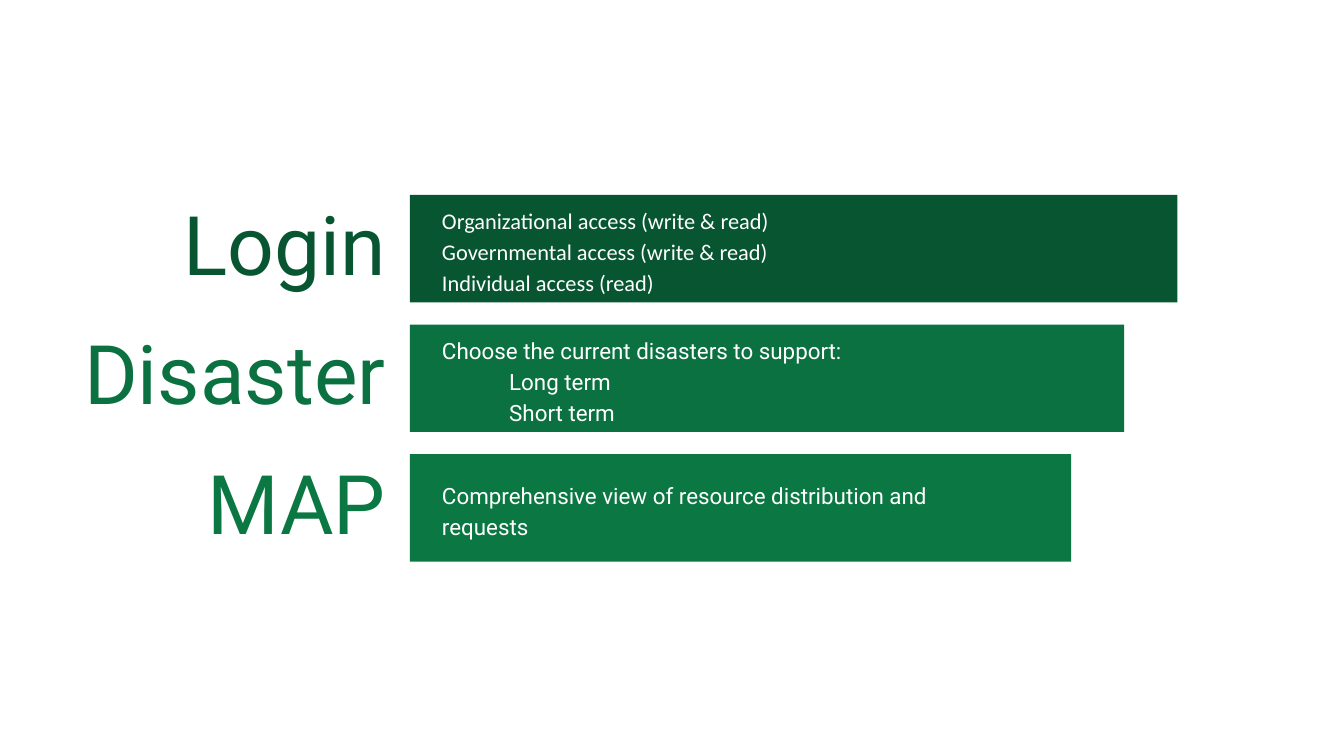
from copy import deepcopy

from pptx import Presentation
from pptx.dml.color import RGBColor
from pptx.enum.shapes import MSO_SHAPE
from pptx.enum.text import MSO_ANCHOR, PP_ALIGN
from pptx.oxml.ns import qn
from pptx.util import Inches, Pt

WHITE = RGBColor(0xFF, 0xFF, 0xFF)
DARK = RGBColor(0x08, 0x56, 0x31)
MIDDLE = RGBColor(0x0B, 0x71, 0x40)
LIGHT = RGBColor(0x0B, 0x77, 0x43)

ROWS = [
    dict(label="Login", color=DARK, font="Calibri", label_w=2.19, body_w=5.21, body_h=0.63,
         lines=[("Organizational access (write & read)\nGovernmental access (write & read)", 0),
                ("Individual access (read)", 0)]),
    dict(label="Disaster", color=MIDDLE, font="Roboto", label_w=2.97, body_w=4.78, body_h=0.36,
         lines=[("Choose the current disasters to support:", 0),
                ("Long term", 0.5),
                ("Short term", 0.5)]),
    dict(label="MAP", color=LIGHT, font="Roboto", label_w=2.14, body_w=4.21, body_h=0.36,
         lines=[("Comprehensive view of resource distribution and requests", 0)]),
]

TOP, PITCH = 1.45, 1.93 / 2
BAR_LEFT, BAR_W, BAR_STEP, BAR_H = 3.05, 5.71, 0.79 / 2, 0.8
LABEL_RIGHT, LABEL_H = 2.97, 0.69
BODY_LEFT, BODY_DROP = 3.19, 0.01


def add_text(group, left, middle, width, height, lines, layout, font, color):
    box = group.shapes.add_textbox(Inches(left), Inches(middle - height / 2),
                                   Inches(width), Inches(height))
    tf = box.text_frame
    tf.word_wrap = True
    tf.vertical_anchor = MSO_ANCHOR.MIDDLE
    for i, (text, indent) in enumerate(lines):
        p = tf.paragraphs[0] if i == 0 else tf.add_paragraph()
        p.text = text
        for name, value in layout.items():
            setattr(p, name, value)
        if indent:
            p._p.get_or_add_pPr().set("indent", str(Inches(indent)))
        for r in p.runs:
            for name, value in font.items():
                setattr(r.font, name, value)
            r.font.color.rgb = color
        for br in p._p.findall(qn("a:br")):
            br.append(deepcopy(p.runs[0]._r.rPr))


prs = Presentation()
prs.slide_width = Inches(10)
prs.slide_height = prs.slide_width * 9 // 16
s = prs.slides.add_slide(prs.slide_layouts[6])

for i, row in enumerate(ROWS):
    top = TOP + i * PITCH
    middle = top + BAR_H / 2
    group = s.shapes.add_group_shape()
    add_text(group, LABEL_RIGHT - row["label_w"], middle, row["label_w"], LABEL_H,
             [(row["label"], 0)], dict(alignment=PP_ALIGN.RIGHT, line_spacing=0.9),
             dict(name="Roboto", size=Pt(44)), row["color"])
    bar = group.shapes.add_shape(MSO_SHAPE.RECTANGLE, Inches(BAR_LEFT), Inches(top),
                                 Inches(BAR_W - i * BAR_STEP), Inches(BAR_H))
    bar.shadow.inherit = False
    bar.fill.solid()
    bar.fill.fore_color.rgb = row["color"]
    bar.line.fill.background()
    add_text(group, BODY_LEFT, middle + BODY_DROP, row["body_w"], row["body_h"],
             row["lines"], dict(alignment=PP_ALIGN.LEFT, line_spacing=1.15),
             dict(name=row["font"], size=Pt(12)), WHITE)

prs.save("out.pptx")
